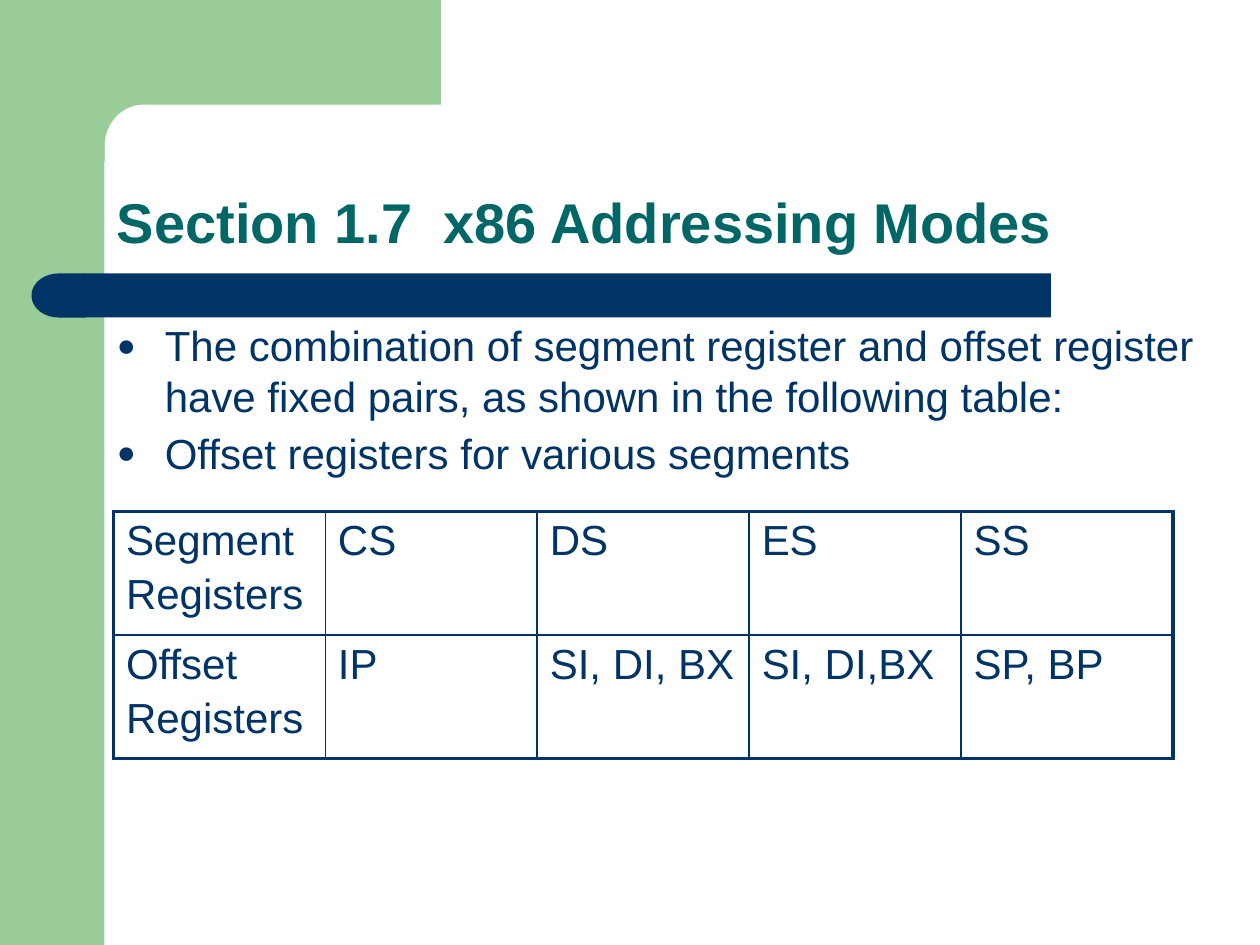
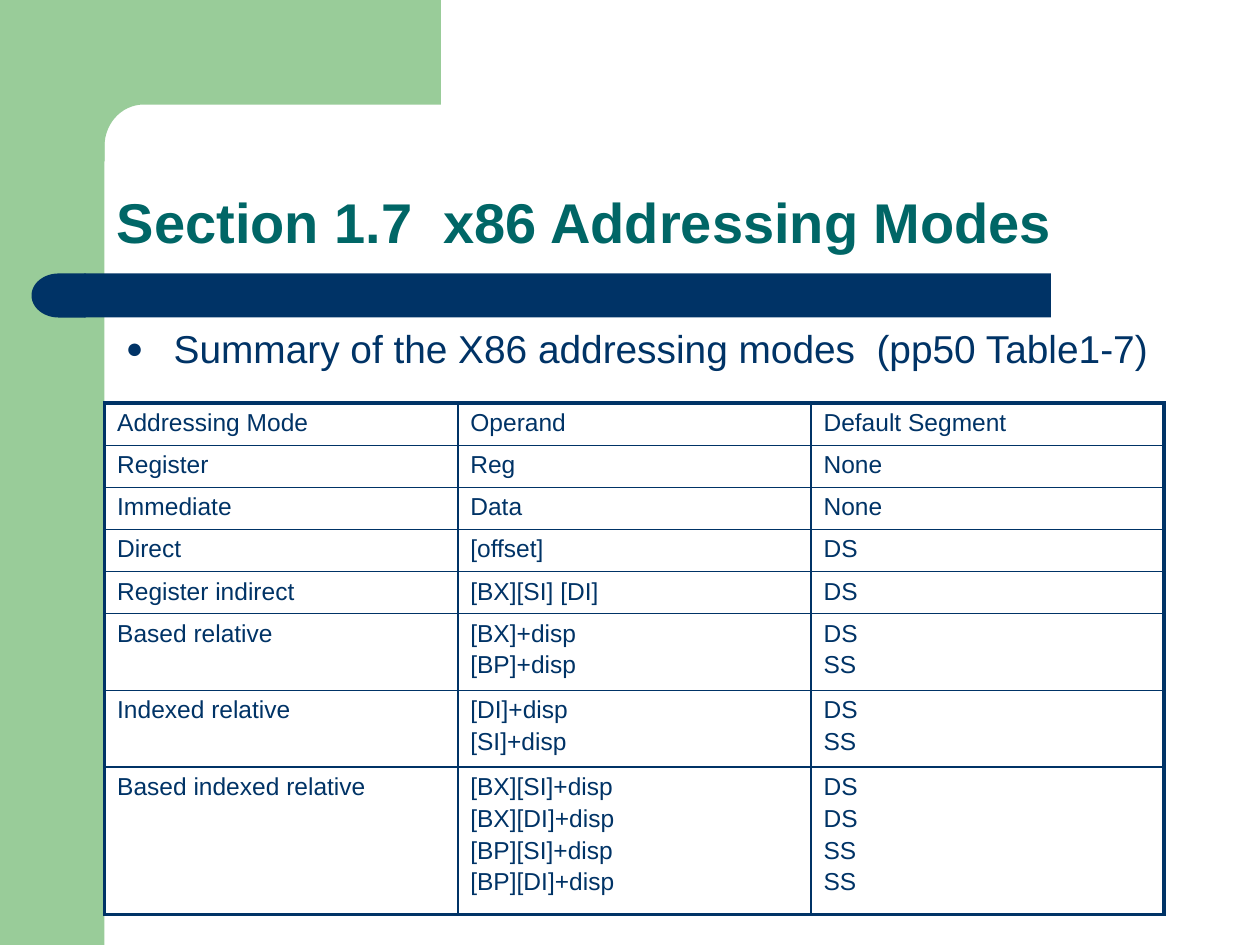
import math
from lxml import etree
from pptx import Presentation
from pptx.dml.color import RGBColor
from pptx.enum import shapes, text
from pptx.oxml import ns
from pptx.util import Inches, Pt

GREEN, NAVY, TEAL = "99CC99", "003366", "006666"
FONT = "Arial"
TITLE = "Section 1.7  x86 Addressing Modes"
WIDE = 8.41  # width of both tables

# body and table boxes are left, top, width, height
PAGES = [
    dict(
        body=["The combination of segment register and offset register have "
              "fixed pairs, as shown in the following table:",
              "Offset registers for various segments"],
        box=(0.83, 2.49, 8.9, 4.1), size=24, lead=1.0,
        spot=(0.9, 4.06), small=24, high=[0.98] * 2,
        rows=[["Segment\nRegisters", "CS", "DS", "ES", "SS"],
              ["Offset\nRegisters", "IP", "SI, DI, BX", "SI, DI,BX", "SP, BP"]]),
    dict(
        body=["Summary of the X86 addressing modes  (pp50 Table1-7)"],
        box=(0.9, 2.57, WIDE, 0.47), size=22.2, lead=0.9,
        spot=(0.83, 3.2), small=14, high=[0.33] * 5 + [0.61] * 2 + [1.17],
        rows=[["Addressing Mode", "Operand", "Default Segment"],
              ["Register", "Reg", "None"],
              ["Immediate", "Data", "None"],
              ["Direct", "[offset]", "DS"],
              ["Register indirect", "[BX][SI] [DI]", "DS"],
              ["Based relative", "[BX]+disp\n[BP]+disp", "DS\nSS"],
              ["Indexed relative", "[DI]+disp\n[SI]+disp", "DS\nSS"],
              ["Based indexed relative",
               "[BX][SI]+disp\n[BX][DI]+disp\n[BP][SI]+disp\n[BP][DI]+disp",
               "DS\nDS\nSS\nSS"]]),
]


def tint(fill, color):
    """Make a fill solid in a hex colour."""
    fill.solid()
    fill.fore_color.rgb = RGBColor.from_string(color)


def write(frame, words, size, color=NAVY, bold=False, lead=1.0, gap=0.17, dot=False):
    """Fill a text frame, one paragraph a line; gap is a share of the size."""
    frame.word_wrap = True
    for i, line in enumerate(words.split("\n")):
        para = frame.add_paragraph() if i else frame.paragraphs[0]
        para.line_spacing = lead
        para.space_before = Pt(gap * size)
        run = para.add_run()
        run.text = line
        run.font.name, run.font.size, run.font.bold = FONT, Pt(size), bold
        tint(run.font.fill, color)
        if dot:
            props = para._p.get_or_add_pPr()
            props.set("marL", str(Inches(0.38)))
            props.set("indent", str(Inches(-0.38)))
            hue = etree.SubElement(props, ns.qn("a:buClr"))
            etree.SubElement(hue, ns.qn("a:srgbClr"), val=color)
            etree.SubElement(props, ns.qn("a:buSzPct"), val="75000")
            etree.SubElement(props, ns.qn("a:buFont"), typeface=FONT)
            etree.SubElement(props, ns.qn("a:buChar"), char="●")


deck = Presentation()
deck.slide_width, deck.slide_height = Inches(10), Inches(7.5)
kinds = shapes.MSO_SHAPE

# Outline of the top band, with a rounded inner corner
curve = [(1.14 - 0.31 * math.sin(math.radians(a)), 1.16 - 0.33 * math.cos(math.radians(a)))
         for a in range(0, 91, 6)]
edge = [(3.5, 0.83)] + curve + [(0.83, 1.28), (0.5, 1.28), (0.5, 0)]

for page in PAGES:
    slide = deck.slides.add_slide(deck.slide_layouts[6])

    # Frame
    pen = slide.shapes.build_freeform(Inches(3.5), 0)
    pen.add_line_segments([(Inches(x), Inches(y)) for x, y in edge])
    parts = [(pen.convert_to_shape(), GREEN)]
    for kind, box, color in [
            (kinds.RECTANGLE, (0, 0, 0.83, 7.5), GREEN),
            (kinds.RECTANGLE, (0.67, 2.17, 7.67, 0.35), NAVY),
            (kinds.FLOWCHART_DELAY, (0.25, 2.17, 0.43, 0.35), NAVY)]:
        parts.append((slide.shapes.add_shape(kind, *map(Inches, box)), color))
    for part, color in parts:
        part.shadow.inherit = False
        tint(part.fill, color)
        part.line.fill.background()
    parts[-1][0].rotation = 180  # round end faces left

    # Title and bullets
    head = slide.shapes.add_textbox(*map(Inches, (0.83, 0.83, 8.67, 1.25))).text_frame
    head.vertical_anchor = text.MSO_ANCHOR.BOTTOM
    write(head, TITLE, 32, color=TEAL, bold=True, lead=0.9, gap=0)
    body = slide.shapes.add_textbox(*map(Inches, page["box"])).text_frame
    write(body, "\n".join(page["body"]), page["size"], lead=page["lead"], dot=True)

    # Table: thick outside, thin inside
    rows, high = page["rows"], page["high"]
    down, across = len(rows), len(rows[0])
    grid = slide.shapes.add_table(
        down, across, *map(Inches, (*page["spot"], WIDE, sum(high)))).table
    grid.first_row = grid.horz_banding = False
    for col in grid.columns:
        col.width = Inches(WIDE / across)
    for r, row in enumerate(rows):
        grid.rows[r].height = Inches(high[r])
        for c, words in enumerate(row):
            cell = grid.cell(r, c)
            write(cell.text_frame, words, page["small"])
            props = cell._tc.get_or_add_tcPr()
            for side, outer in [("L", c == 0), ("R", c == across - 1),
                                ("T", r == 0), ("B", r == down - 1)]:
                rule = etree.SubElement(props, ns.qn("a:ln" + side),
                                        w=str(Pt(2.25 if outer else 1)))
                paint = etree.SubElement(rule, ns.qn("a:solidFill"))
                etree.SubElement(paint, ns.qn("a:srgbClr"), val=NAVY)
            cell.fill.background()

deck.save("out.pptx")
